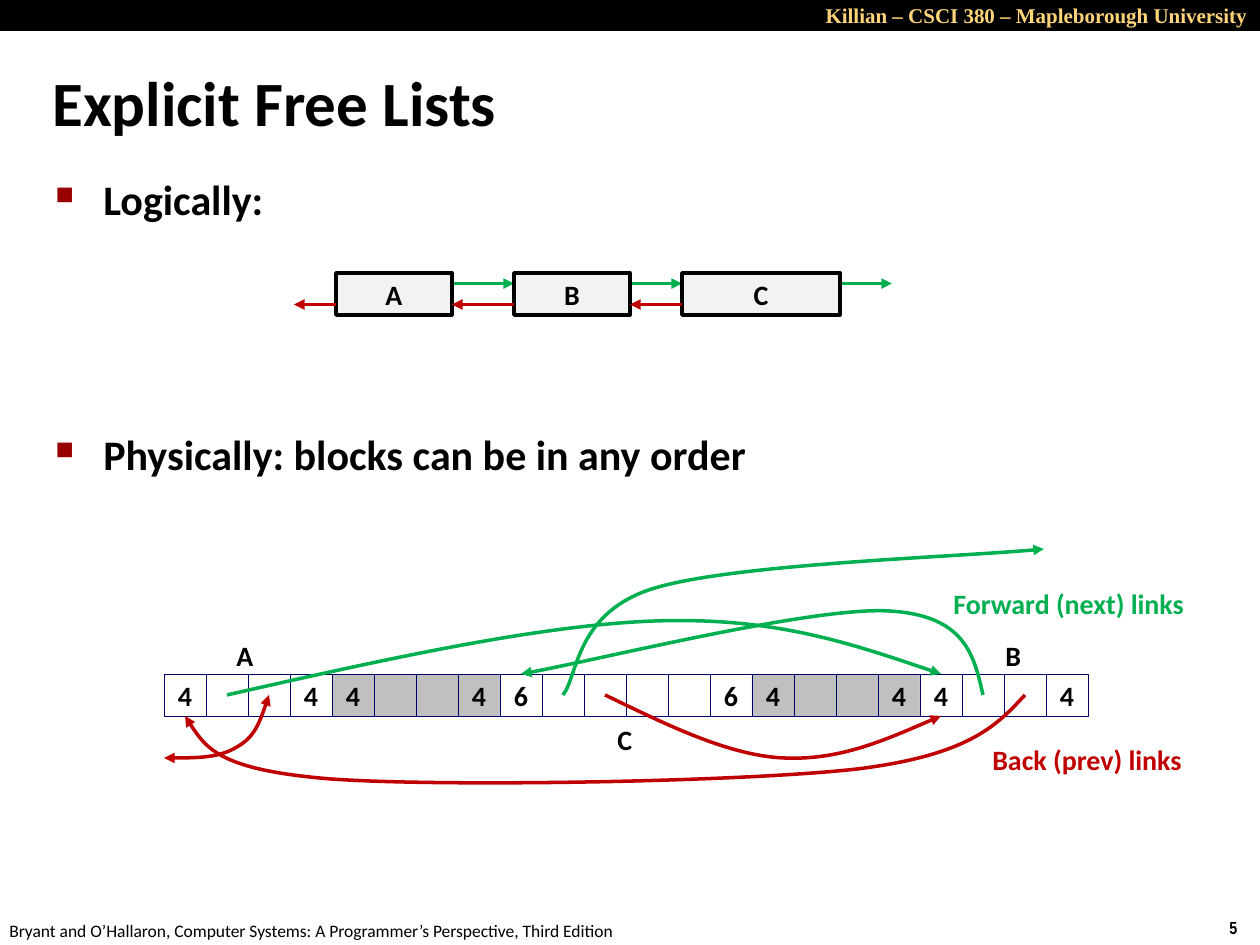
import pptx
import pptx.util
from lxml import etree
from pptx.dml.color import RGBColor
from pptx.enum.shapes import MSO_CONNECTOR, MSO_SHAPE
from pptx.enum.text import MSO_ANCHOR, MSO_AUTO_SIZE, PP_ALIGN
from pptx.oxml.ns import qn

SCALE = 914400 / 126
BLACK = RGBColor(0x00, 0x00, 0x00)
WHITE = RGBColor(0xFF, 0xFF, 0xFF)
GOLD = RGBColor(0xFF, 0xD5, 0x79)
GREEN = RGBColor(0x00, 0xB0, 0x50)
RED = RGBColor(0xC0, 0x00, 0x00)
MAROON = RGBColor(0x99, 0x00, 0x00)
NAVY = RGBColor(0x00, 0x00, 0x66)
PALE = RGBColor(0xF2, 0xF2, 0xF2)
GRAY = RGBColor(0xC0, 0xC0, 0xC0)


def px(size):
    return round(size * SCALE)


def style(para, size, color=BLACK, bold=True, face="Calibri"):
    for run in para.runs:
        run.font.size = pptx.util.Pt(size)
        run.font.color.rgb = color
        run.font.bold = bold
        run.font.name = face


def label(slide, box, text, size, color=BLACK, bold=True, face="Calibri", wrap=False):
    """Add a text box with one line and return its frame."""
    frame = slide.shapes.add_textbox(*map(px, box)).text_frame
    frame.text = text
    frame.word_wrap = wrap
    frame.auto_size = MSO_AUTO_SIZE.NONE if wrap else MSO_AUTO_SIZE.SHAPE_TO_FIT_TEXT
    style(frame.paragraphs[0], size, color, bold, face)
    return frame


def block(slide, box, fill, edge=None, width=0, text=""):
    """Add a filled box, with an outline and centred text if given."""
    shape = slide.shapes.add_shape(MSO_SHAPE.RECTANGLE, *map(px, box))
    shape.shadow.inherit = False
    shape.fill.solid()
    shape.fill.fore_color.rgb = fill
    if edge is None:
        shape.line.fill.background()
    else:
        shape.line.color.rgb = edge
        shape.line.width = pptx.util.Pt(width)
    if text:
        frame = shape.text_frame
        frame.text = text
        frame.word_wrap = False
        frame.vertical_anchor = MSO_ANCHOR.MIDDLE
        frame.paragraphs[0].alignment = PP_ALIGN.CENTER
        style(frame.paragraphs[0], 16)


def tip(shape, color, ends=("tailEnd",)):
    """Color the line of a link and give it arrowheads."""
    shape.line.color.rgb = color
    shape.line.width = pptx.util.Pt(2)
    line = shape.element.spPr.find(qn("a:ln"))
    for end in ends:
        etree.SubElement(line, qn("a:" + end), type="triangle")


def arrow(slide, start, stop, y, color):
    link = slide.shapes.add_connector(
        MSO_CONNECTOR.STRAIGHT, px(start), px(y), px(stop), px(y))
    tip(link, color)
    etree.SubElement(link.element.spPr, qn("a:effectLst"))


def curve(slide, left, top, points, color, ends=("tailEnd",)):
    """Draw a chain of cubic curves: a start, then three points for each."""
    spots = [(px(left + x), px(top + y)) for x, y in points]
    form = slide.shapes.build_freeform(*spots[0])
    form.add_line_segments(spots[1:], close=False)
    shape = form.convert_to_shape()
    shape.shadow.inherit = False
    shape.fill.background()
    track = shape.element.spPr.find(".//" + qn("a:path"))
    parts = track.findall(qn("a:lnTo"))
    for i in range(0, len(parts), 3):
        bend = etree.SubElement(track, qn("a:cubicBezTo"))
        for part in parts[i:i + 3]:
            bend.append(part[0])
            track.remove(part)
    tip(shape, color, ends)


def header(slide, left, top, width, height):
    block(slide, (left, top, width, height), BLACK)
    frame = label(slide, (left + 693, top - 4, 567, 38),
                  "Killian – CSCI 380 – Mapleborough University",
                  12, GOLD, face="Times New Roman", wrap=True)
    frame.paragraphs[0].alignment = PP_ALIGN.RIGHT


def footer(slide, left, top):
    label(slide, (left - 3, top + 3, 640, 34),
          "Bryant and O’Hallaron, Computer Systems: A Programmer’s Perspective, Third Edition",
          10, bold=False)
    label(slide, (left + 1217, top, 43, 34), "5", 10, face="Arial Narrow")


def title(slide, box):
    frame = label(slide, box, "Explicit Free Lists", 36, wrap=True)
    frame.vertical_anchor = MSO_ANCHOR.MIDDLE
    frame.paragraphs[0].line_spacing = 0.87


def body(slide, box):
    frame = label(slide, box, "Logically:\nPhysically: blocks can be in any order", 24, wrap=True)
    for para, gap in zip(frame.paragraphs, (0, 121)):
        style(para, 24)
        para.line_spacing = 0.85
        para.space_before = pptx.util.Pt(gap)
        props = para._p.get_or_add_pPr()
        props.set("marL", str(px(48)))
        props.set("indent", str(px(-48)))
        tint = etree.SubElement(props, qn("a:buClr"))
        etree.SubElement(tint, qn("a:srgbClr"), val=str(MAROON))
        etree.SubElement(props, qn("a:buSzPct"), val="60000")
        etree.SubElement(props, qn("a:buChar"), char="■")


def logic(slide, left, top, width, height):
    """Draw the list as a row of nodes linked both ways."""
    nodes = [("A", 42, 116), ("B", 220, 116), ("C", 388, 158)]
    starts = [x for _, x, _ in nodes] + [width]
    stops = [0] + [x + w for _, x, w in nodes]
    for i, (name, x, w) in enumerate(nodes):
        arrow(slide, left + x + w, left + starts[i + 1], top + height / 4, GREEN)
        block(slide, (left + x, top, w, height), PALE, BLACK, 2, name)
        arrow(slide, left + x, left + stops[i], top + height * 3 / 4, RED)


def memory(slide, left, top, cell):
    """Draw the blocks as a row of words, with links between them."""
    x = left
    for size, fill in ((4, WHITE), (4, GRAY), (6, WHITE), (4, GRAY), (4, WHITE)):
        for i in range(size):
            text = str(size) if i in (0, size - 1) else ""
            block(slide, (x, top, cell, cell), fill, NAVY, 0.25, text)
            x += cell

    links = [
        (GREEN, [(63, 21), (218, -14), (374, -49), (492, -53),
                 (612, -57), (694, -28), (777, 0)]),
        (GREEN, [(819, 21), (810, -19), (801, -59), (724, -63),
                 (647, -67), (418, -10), (357, 0)]),
        (RED, [(861, 21), (834, 50), (807, 81), (693, 95), (577, 108),
               (280, 113), (167, 105), (55, 96), (38, 69), (21, 42)]),
        (RED, [(441, 21), (501, 50), (563, 81), (618, 84),
               (675, 87), (726, 64), (777, 42)]),
        (GREEN, [(399, 21), (414, 3), (411, -62), (491, -86),
                 (571, -110), (799, -117), (880, -125)]),
    ]
    for color, points in links:
        curve(slide, left, top, points, color)
    curve(slide, left, top, [(105, 21), (98, 42), (91, 63), (73, 73),
                             (55, 84), (28, 84), (0, 84)], RED, ("headEnd", "tailEnd"))

    for text, x, y, width, color in (
            ("Forward (next) links", 777, -94, 258, GREEN),
            ("Back (prev) links", 816, 62, 217, RED),
            ("A", 60, -42, 43, BLACK),
            ("B", 829, -42, 40, BLACK),
            ("C", 441, 42, 40, BLACK)):
        label(slide, (left + x, top + y, width, 47), text, 16, color)


def main():
    deck = pptx.Presentation()
    deck.slide_width, deck.slide_height = px(1260), px(945)
    slide = deck.slides.add_slide(deck.slide_layouts[6])
    header(slide, 0, 0, 1260, 31)
    footer(slide, 0, 911)
    title(slide, (40, 67, 837, 79))
    body(slide, (43, 175, 1145, 335))
    logic(slide, 294, 273, 598, 42)
    memory(slide, 164, 674, 42)
    deck.save("out.pptx")


if __name__ == "__main__":
    main()
